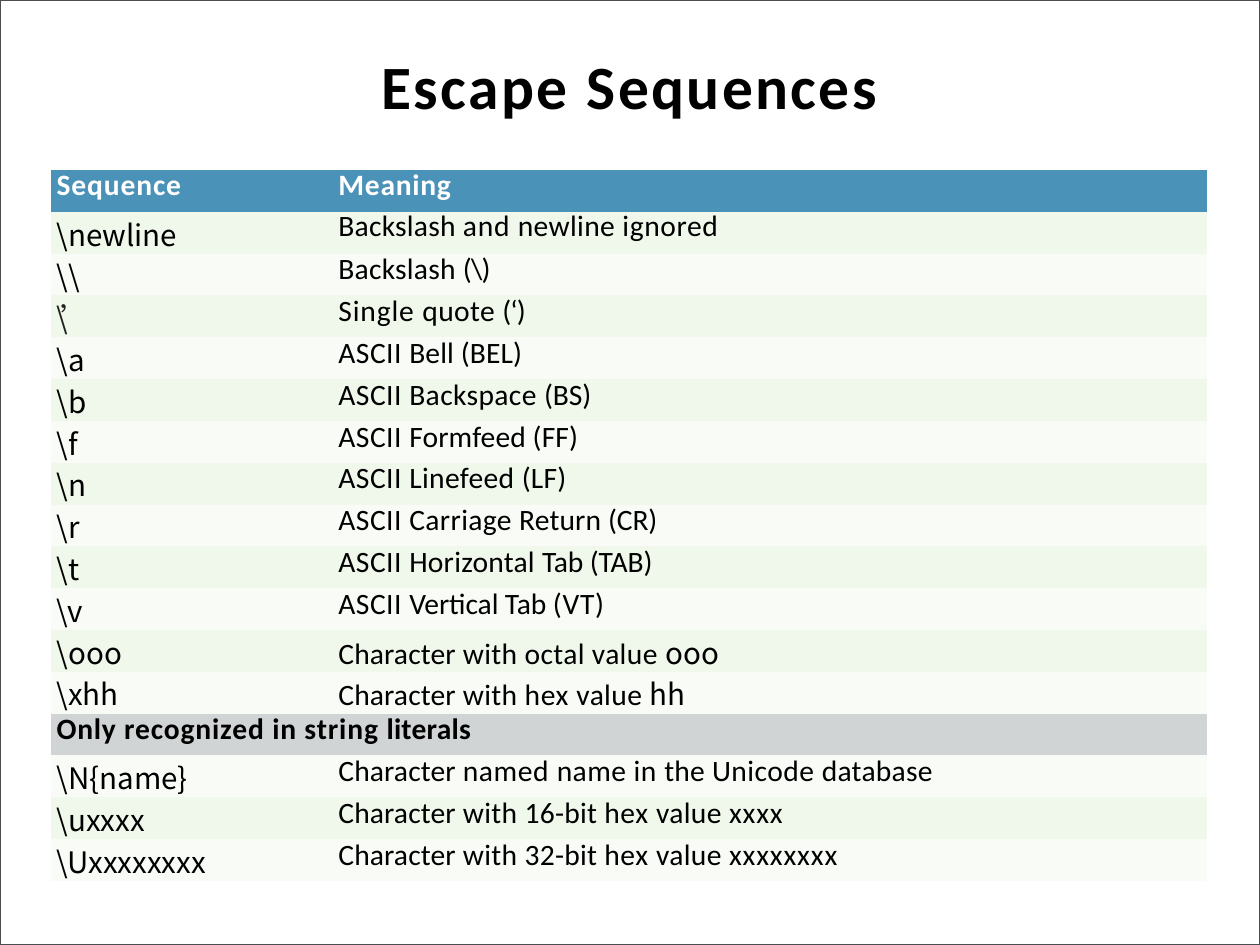
from pptx import Presentation
from pptx.dml.color import RGBColor
from pptx.enum import shapes
from pptx.util import Inches, Pt

COLORS = {"ink": "000000", "quote": "222222", "white": "FFFFFF", "head": "4B92B9",
          "odd": "F0F7EB", "even": "F8FBF6", "section": "D1D4D4", "frame": "4C4C4C"}
BODY, CODE = "Calibri", "Noto Sans CJK SC"
NO_STYLE = "{2D5ABB26-0587-4C30-8999-92F81FD0307C}"

TITLE = [("Escape ", 2), ("Sequences", 1.9)]
HEADER = [[("Sequence", 0.7)], [("Meaning", 0.6)]]
SECTION_ROW = 13
SECTION = [("Only ", 0.6), ("recognized ", 0.7), ("in ", 0.6), ("string ", 0.7),
           ("literals", 0.2)]
ASCII = ("ASCII ", 0.4)
CHARACTER = ("Character ", 0.1)
HEX_VALUE = [("hex ", 0.5), ("value ", 0.3)]
WITH = ("with ", 0.3)
# Spacing of None marks a run set in the code font.
ESCAPES = [
    ("\\newline", [("Backslash ", 0.2), ("and ", 0.6), ("newline ", 0.3), ("ignored", 0.5)]),
    ("\\\\", [("Backslash ", 0.2), ("(\\)", -0.7)]),
    ("\\’", [("Single ", 0.7), ("quote ", 0.3), ("(‘)", -0.7)]),
    ("\\a", [ASCII, ("Bell (BEL)", 0.1)]),
    ("\\b", [ASCII, ("Backspace ", 0.3), ("(BS)", -0.1)]),
    ("\\f", [ASCII, ("Formfeed (FF)", 0.1)]),
    ("\\n", [ASCII, ("Linefeed ", 0.3), ("(LF)", 0.2)]),
    ("\\r", [ASCII, ("Carriage ", 0.3), ("Return ", 0.1), ("(CR)", -0.1)]),
    ("\\t", [ASCII, ("Horizontal ", 0.2), ("Tab (TAB)", -0.1)]),
    ("\\v", [ASCII, ("Vertical Tab ", -0.1), ("(VT)", 0.6)]),
    ("\\ooo", [CHARACTER, ("with octal value ", 0.3), ("ooo", None)]),
    ("\\xhh", [CHARACTER, WITH, *HEX_VALUE, ("hh", None)]),
    ("\\N{name}", [CHARACTER, ("named ", 0.5), ("name in ", 0.4), ("the ", 0.2),
                   ("Unicode ", 0.4), ("database", 0.2)]),
    ("\\uxxxx", [CHARACTER, WITH, ("16-bit ", 0.2), *HEX_VALUE, ("xxxx", 0.7)]),
    ("\\Uxxxxxxxx", [CHARACTER, WITH, ("32-bit ", 0.2), *HEX_VALUE, ("xxxxxxxx", 0.7)]),
]


def rgb(name):
    """Return the named colour."""
    return RGBColor.from_string(COLORS[name])


def add_runs(p, runs, size, color="ink", bold=False):
    """Add runs of (text, letter spacing) to a paragraph."""
    for text, spacing in runs:
        r = p.add_run()
        r.text = text
        r.font.size, r.font.bold = Pt(size), bold
        r.font.name = CODE if spacing is None else BODY
        r.font.color.rgb = rgb(color)
        if spacing is not None:
            r.font._element.set("spc", str(round(spacing * 100)))


def clear_margins(box):
    """Remove the inner margins of a cell or text frame."""
    box.margin_left = box.margin_right = box.margin_top = box.margin_bottom = 0


def fill_cell(cell, runs, fill, spacing=None, color="ink", bold=False):
    """Write runs into a cell and colour it."""
    clear_margins(cell)
    cell.fill.solid()
    cell.fill.fore_color.rgb = rgb(fill)
    p = cell.text_frame.paragraphs[0]
    p._p.get_or_add_pPr().set("marL", str(Inches(0.06)))
    if spacing:
        p.line_spacing = Pt(spacing)
    add_runs(p, runs, 24, color, bold)


def add_title(s):
    """Add the slide title."""
    sp = s.shapes.add_textbox(Inches(4.3), Inches(0.54), Inches(5.62), Inches(0.88))
    tf = sp.text_frame
    clear_margins(tf)
    tf.word_wrap = False
    add_runs(tf.paragraphs[0], TITLE, 50, bold=True)


def add_escape_table(s):
    """Add the table of escape sequences."""
    count = len(ESCAPES) + 2
    frame = s.shapes.add_table(count, 2, Inches(0.58), Inches(1.92),
                               Inches(13.04), Inches(8.03))
    table = frame.table
    table.first_row = table.horz_banding = False
    table._tbl.tblPr[0].text = NO_STYLE
    for column, width in zip(table.columns, (3.18, 9.86)):
        column.width = Inches(width)
    for col, runs in enumerate(HEADER):
        fill_cell(table.cell(0, col), runs, "head", 26.8, "white", True)
    table.cell(SECTION_ROW, 0).merge(table.cell(SECTION_ROW, 1))
    fill_cell(table.cell(SECTION_ROW, 0), SECTION, "section", 27.8, bold=True)
    rows = [row for row in range(1, count) if row != SECTION_ROW]
    for row, (sequence, meaning) in zip(rows, ESCAPES):
        fill = "odd" if row % 2 else "even"
        quote = sequence == "\\’"
        fill_cell(table.cell(row, 0), [(sequence, None)], fill,
                  color="quote" if quote else "ink")
        if quote:
            r = table.cell(row, 0).text_frame.paragraphs[0].runs[0]
            r.font._element.set("spc", "-600")
        has_code = meaning[-1][1] is None
        spacing = None if has_code else 26.8 if row == 1 else 27.8
        fill_cell(table.cell(row, 1), meaning, fill, spacing)


def main():
    """Build the slide."""
    prs = Presentation()
    prs.slide_width, prs.slide_height = Inches(14.22), Inches(10.67)
    s = prs.slides.add_slide(prs.slide_layouts[6])
    add_title(s)
    add_escape_table(s)
    sp = s.shapes.add_shape(shapes.MSO_SHAPE.RECTANGLE, 0, 0,
                            prs.slide_width, prs.slide_height)
    sp.shadow.inherit = False
    sp.fill.background()
    sp.line.color.rgb = rgb("frame")
    sp.line.width = Pt(1)
    prs.save("out.pptx")


if __name__ == "__main__":
    main()
